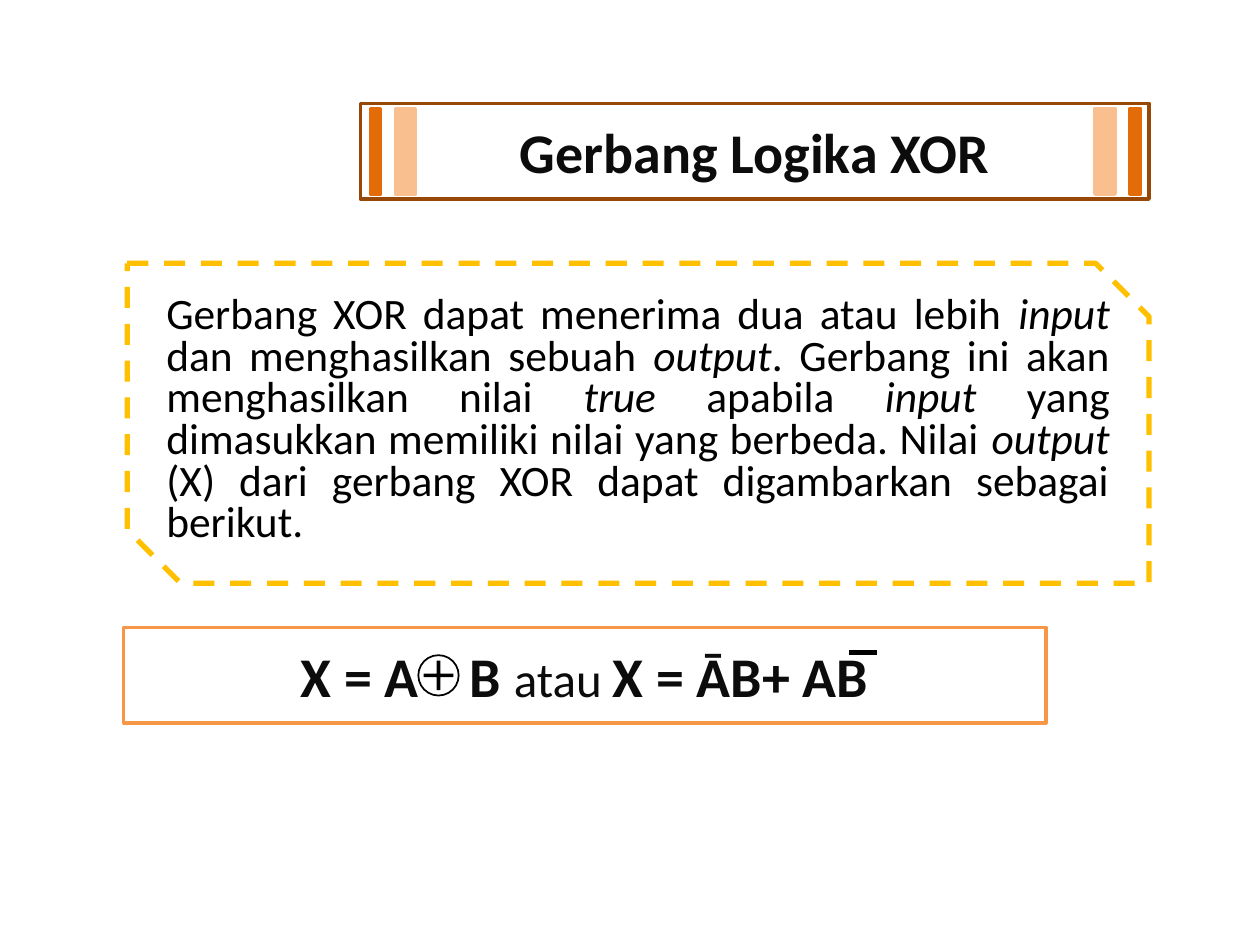
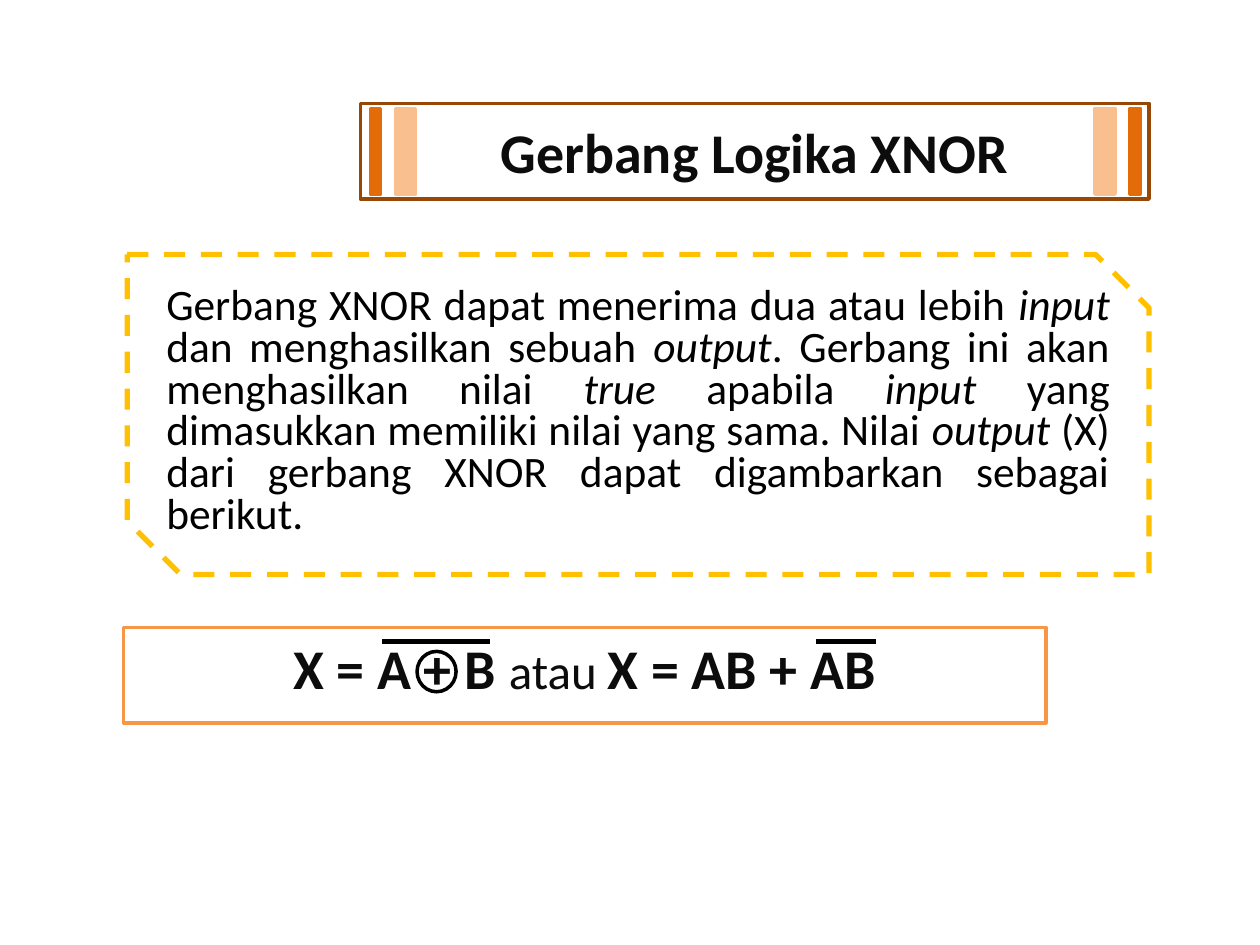
import pptx
import pptx.util
import pptx.dml.color
import pptx.enum.dml
import pptx.enum.shapes
import pptx.enum.text
import pptx.oxml.ns
from lxml import etree

Inches, Pt = pptx.util.Inches, pptx.util.Pt
RGB = pptx.dml.color.RGBColor
KIND = pptx.enum.shapes.MSO_SHAPE
ALIGN = pptx.enum.text.PP_ALIGN
ANCHOR = pptx.enum.text.MSO_ANCHOR

# Content: *stars* mark italics; formula runs are (text, size, bold, spacing)
BODY = ("Gerbang {gate} dapat menerima dua atau lebih *input* dan menghasilkan "
        "sebuah *output*. Gerbang ini akan menghasilkan nilai *true* apabila "
        "*input* yang dimasukkan memiliki nilai yang {rule}. Nilai *output* (X) "
        "dari gerbang {gate} dapat digambarkan sebagai berikut.")
OR = ("atau ", 28, False, 0)
GATES = [
    dict(gate="XOR", rule="berbeda", top=2.09, anchor=ANCHOR.MIDDLE,
         formula=[("X = A", 32, True, 0), (" ", 32, True, 21.7),
                  ("B ", 32, True, 0), OR, ("X = ĀB+ AB", 32, True, 0)],
         ring=(3.32, 5.2, 0.32, 0.32), ring_line=1, plus=True,
         bars=[(6.74, 6.96, 5.18)]),
    dict(gate="XNOR", rule="sama", top=2.02, anchor=ANCHOR.TOP,
         formula=[("X = A + B ", 32, True, 0), OR, ("X = AB + AB", 32, True, 0)],
         ring=(3.31, 5.17, 0.31, 0.32), ring_line=2, plus=False,
         bars=[(3.03, 3.89, 5.09), (6.48, 6.95, 5.09)]),
]

# Shared look
FONT = "Calibri"
BLACK, WHITE, INK = RGB(0, 0, 0), RGB(255, 255, 255), RGB(0x0C, 0x0C, 0x0C)
GOLD, BROWN = RGB(0xFF, 0xC0, 0x00), RGB(0x97, 0x48, 0x06)
ORANGE, DEEP, PEACH = RGB(0xF7, 0x96, 0x46), RGB(0xE3, 0x6C, 0x09), RGB(0xFA, 0xBF, 0x8E)
TITLE = (2.86, 0.82, 6.26, 0.76)
FORMULA = (0.98, 4.98, 7.32, 0.76)
BANDS = [(2.94, 0.08, DEEP), (3.14, 0.16, PEACH),
         (8.97, 0.08, DEEP), (8.69, 0.16, PEACH)]


def add_box(slide, kind, place, fill=None, line=None, width=2):
    box = slide.shapes.add_shape(kind, *map(Inches, place))
    box.shadow.inherit = False
    for part, color in ((box.fill, fill), (box.line.fill, line)):
        if color is None:
            part.background()
        else:
            part.solid()
            part.fore_color.rgb = color
    if line is not None:
        box.line.width = Pt(width)
    return box


def start_text(box, color, align, anchor):
    frame = box.text_frame
    frame.word_wrap = True
    frame.vertical_anchor = anchor
    para = frame.paragraphs[0]
    para.alignment = align
    para.font.name = FONT
    para.font.color.rgb = color
    return para


def add_title(slide, text):
    box = add_box(slide, KIND.RECTANGLE, TITLE, WHITE, BROWN)
    para = start_text(box, INK, ALIGN.CENTER, ANCHOR.MIDDLE)
    para.font.size, para.font.bold = Pt(32), True
    para.add_run().text = text
    for left, width, color in BANDS:
        add_box(slide, KIND.RECTANGLE, (left, 0.86, width, 0.68), color, color)


def add_body(slide, text, top):
    box = add_box(slide, KIND.SNIP_2_DIAG_RECTANGLE, (1.01, top, 8.11, 2.54),
                  line=GOLD, width=3)
    box.adjustments[0], box.adjustments[1] = 0, 0.167
    box.line.dash_style = pptx.enum.dml.MSO_LINE.DASH
    para = start_text(box, BLACK, ALIGN.JUSTIFY, ANCHOR.TOP)
    para.font.size, para.line_spacing = Pt(24.8), 0.8
    for i, piece in enumerate(text.split("*")):
        run = para.add_run()
        run.text = piece
        run.font.italic = i % 2 == 1


def add_bar(slide, start, end, y):
    bar = slide.shapes.add_connector(
        pptx.enum.shapes.MSO_CONNECTOR.STRAIGHT, *map(Inches, (start, y, end, y)))
    bar.line.color.rgb = BLACK
    bar.line.width = Pt(3)
    etree.SubElement(bar.element.spPr, pptx.oxml.ns.qn("a:effectLst"))


def add_formula(slide, item):
    box = add_box(slide, KIND.RECTANGLE, FORMULA, WHITE, ORANGE)
    para = start_text(box, INK, ALIGN.CENTER, item["anchor"])
    for text, size, bold, gap in item["formula"]:
        run = para.add_run()
        run.text = text
        run.font.size, run.font.bold = Pt(size), bold
        if gap:  # widen the space that holds the circled plus
            run.font._element.set("spc", str(round(gap * 100)))
    if item["plus"]:
        plus = add_box(slide, KIND.MATH_PLUS, item["ring"], BLACK)
        plus.adjustments[0] = 0.09
    add_box(slide, KIND.OVAL, item["ring"], line=BLACK, width=item["ring_line"])
    for bar in item["bars"]:
        add_bar(slide, *bar)


def main():
    deck = pptx.Presentation()
    deck.slide_width, deck.slide_height = Inches(10), Inches(7.5)
    for item in GATES:
        slide = deck.slides.add_slide(deck.slide_layouts[6])
        add_body(slide, BODY.format(gate=item["gate"], rule=item["rule"]), item["top"])
        add_title(slide, "Gerbang Logika " + item["gate"])
        add_formula(slide, item)
    deck.save("out.pptx")


if __name__ == "__main__":
    main()
